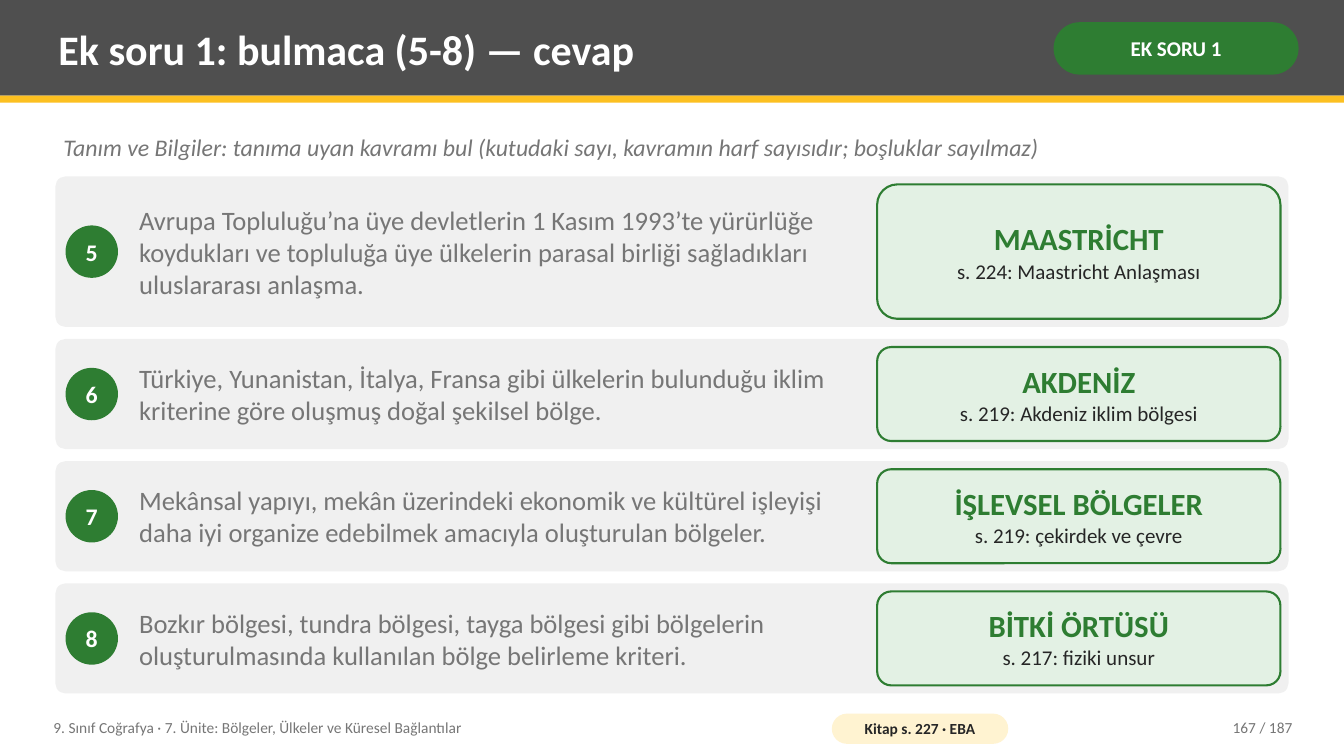
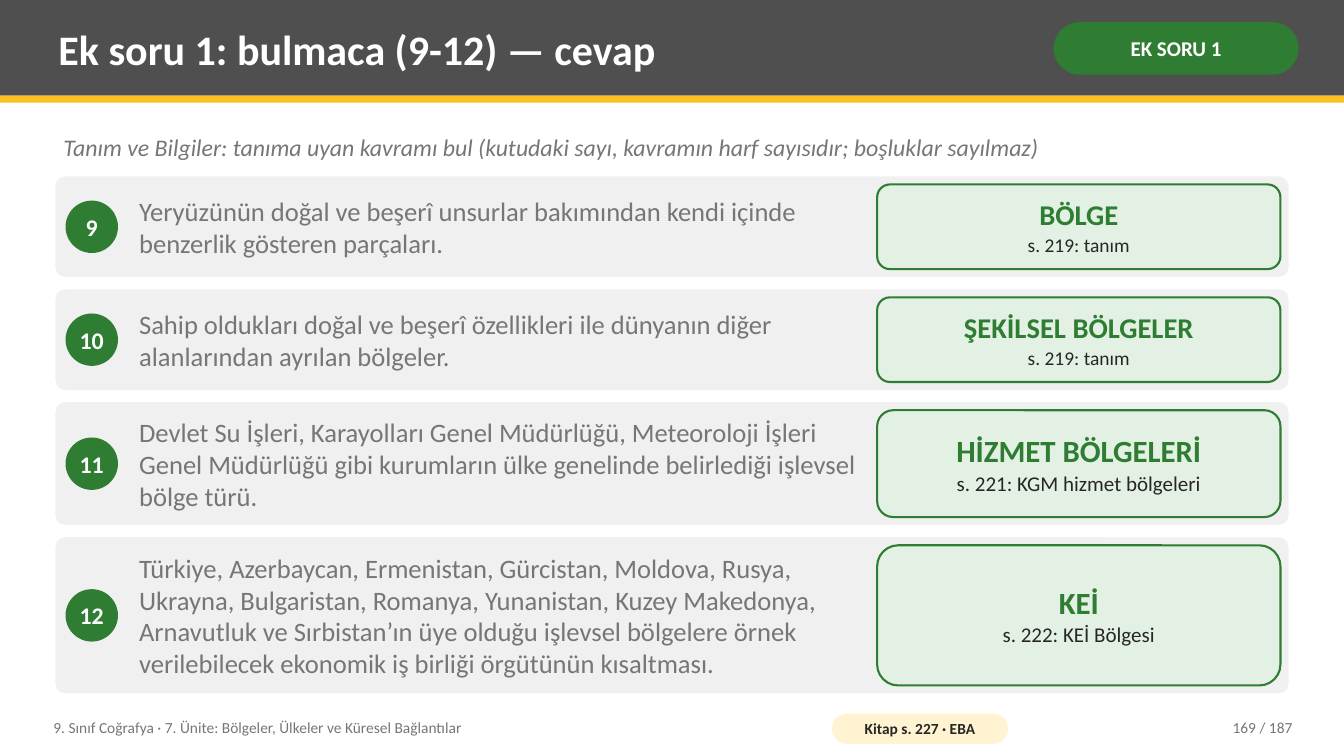
import pptx
import pptx.dml.color
import pptx.enum.shapes
import pptx.enum.text
import pptx.util

Inches = pptx.util.Inches
Shapes = pptx.enum.shapes.MSO_SHAPE
Align = pptx.enum.text.PP_ALIGN
Anchor = pptx.enum.text.MSO_ANCHOR

COLORS = {
    "band": "4F4F4F",
    "accent": "FCC021",
    "green": "2E7D32",
    "answer": "E3F1E4",
    "row": "F0F0F0",
    "source": "FFF3D1",
    "muted": "767676",
    "dark": "262626",
    "white": "FFFFFF",
}
FONT = "Calibri"
SLIDE_WIDTH, SLIDE_HEIGHT = 13.33, 7.5
TEXT_MARGINS = (0.08, 0.04)

TAG = "EK SORU 1"
INTRO = ("Tanım ve Bilgiler: tanıma uyan kavramı bul "
         "(kutudaki sayı, kavramın harf sayısıdır; boşluklar sayılmaz)")
UNIT = "9. Sınıf Coğrafya · 7. Ünite: Bölgeler, Ülkeler ve Küresel Bağlantılar"
SOURCE = "Kitap s. 227 · EBA"
PAGE_COUNT = 187

LIST_BOX = (0.55, 1.75, 12.23, 5.13)
ROW_GAP = 0.12

# Each row: number, relative height, definition, answer, reference
SLIDES = [
    {
        "title": "Ek soru 1: bulmaca (5-8) — cevap",
        "number": 167,
        "rows": [
            (5, 1.49, "Avrupa Topluluğu’na üye devletlerin 1 Kasım 1993’te yürürlüğe "
             "koydukları ve topluluğa üye ülkelerin parasal birliği sağladıkları "
             "uluslararası anlaşma.",
             "MAASTRİCHT", "s. 224: Maastricht Anlaşması"),
            (6, 1.09, "Türkiye, Yunanistan, İtalya, Fransa gibi ülkelerin bulunduğu "
             "iklim kriterine göre oluşmuş doğal şekilsel bölge.",
             "AKDENİZ", "s. 219: Akdeniz iklim bölgesi"),
            (7, 1.09, "Mekânsal yapıyı, mekân üzerindeki ekonomik ve kültürel işleyişi "
             "daha iyi organize edebilmek amacıyla oluşturulan bölgeler.",
             "İŞLEVSEL BÖLGELER", "s. 219: çekirdek ve çevre"),
            (8, 1.09, "Bozkır bölgesi, tundra bölgesi, tayga bölgesi gibi bölgelerin "
             "oluşturulmasında kullanılan bölge belirleme kriteri.",
             "BİTKİ ÖRTÜSÜ", "s. 217: fiziki unsur"),
        ],
    },
    {
        "title": "Ek soru 1: bulmaca (9-12) — cevap",
        "number": 169,
        "rows": [
            (9, 1, "Yeryüzünün doğal ve beşerî unsurlar bakımından kendi içinde "
             "benzerlik gösteren parçaları.",
             "BÖLGE", "s. 219: tanım"),
            (10, 1, "Sahip oldukları doğal ve beşerî özellikleri ile dünyanın diğer "
             "alanlarından ayrılan bölgeler.",
             "ŞEKİLSEL BÖLGELER", "s. 219: tanım"),
            (11, 1.22, "Devlet Su İşleri, Karayolları Genel Müdürlüğü, Meteoroloji "
             "İşleri Genel Müdürlüğü gibi kurumların ülke genelinde belirlediği "
             "işlevsel bölge türü.",
             "HİZMET BÖLGELERİ", "s. 221: KGM hizmet bölgeleri"),
            (12, 1.55, "Türkiye, Azerbaycan, Ermenistan, Gürcistan, Moldova, Rusya, "
             "Ukrayna, Bulgaristan, Romanya, Yunanistan, Kuzey Makedonya, Arnavutluk "
             "ve Sırbistan’ın üye olduğu işlevsel bölgelere örnek verilebilecek "
             "ekonomik iş birliği örgütünün kısaltması.",
             "KEİ", "s. 222: KEİ Bölgesi"),
        ],
    },
]


def rgb(name):
    return pptx.dml.color.RGBColor.from_string(COLORS[name])


def lengths(box):
    return [Inches(value) for value in box]


def set_frame(shape, margins=TEXT_MARGINS, anchor=Anchor.MIDDLE, wrap=True):
    """Set margins (horizontal, vertical), anchor and wrapping; return the frame."""
    frame = shape.text_frame
    frame.margin_left = frame.margin_right = Inches(margins[0])
    frame.margin_top = frame.margin_bottom = Inches(margins[1])
    frame.vertical_anchor = anchor
    frame.word_wrap = wrap
    frame.auto_size = pptx.enum.text.MSO_AUTO_SIZE.NONE
    return frame


def write(frame, text, size, color, bold=False, italic=False, align=Align.LEFT, after=0):
    """Put text in the first paragraph if it is free, otherwise in a new one."""
    para = frame.add_paragraph() if frame.text else frame.paragraphs[0]
    para.alignment = align
    para.space_after = pptx.util.Pt(after)
    span = para.add_run()
    span.text = text
    span.font.name = FONT
    span.font.size = pptx.util.Pt(size)
    span.font.bold = bold
    span.font.italic = italic
    span.font.color.rgb = rgb(color)


def add_box(page, kind, box, fill, line=None, corner=None):
    shape = page.shapes.add_shape(kind, *lengths(box))
    shape.shadow.inherit = False
    shape.fill.solid()
    shape.fill.fore_color.rgb = rgb(fill)
    if line:
        shape.line.color.rgb = rgb(line)
        shape.line.width = pptx.util.Pt(1.5)
    else:
        shape.line.fill.background()
    if corner is not None:
        shape.adjustments[0] = corner
    return shape


def add_label(page, box, text, anchor=Anchor.MIDDLE, **style):
    label = page.shapes.add_textbox(*lengths(box))
    write(set_frame(label, anchor=anchor), text, **style)


def add_pill(page, box, text, fill, margins, **style):
    pill = add_box(page, Shapes.ROUNDED_RECTANGLE, box, fill, corner=0.5)
    write(set_frame(pill, margins), text, bold=True, align=Align.CENTER, **style)


def add_header(page, title_text):
    band_height = 0.95
    add_box(page, Shapes.RECTANGLE, (0, 0, SLIDE_WIDTH, band_height), "band")
    add_box(page, Shapes.RECTANGLE, (0, band_height, SLIDE_WIDTH, 0.07), "accent")
    title = page.shapes.title
    page.shapes.element.append(title.element)  # bring the title in front of the band
    title.left, title.top, title.width, title.height = lengths((0.5, 0.07, 9.75, 0.82))
    write(set_frame(title), title_text, size=30, color="white", bold=True)
    add_pill(page, (10.45, 0.22, 2.43, 0.52), TAG, "green", (0.05, 0.02),
             size=15, color="white")


def add_answer(page, box, answer, reference):
    shape = add_box(page, Shapes.ROUNDED_RECTANGLE, box, "answer", line="green", corner=0.15)
    frame = set_frame(shape, (0.14, 0.08))
    low = box[3] < 0.9
    write(frame, answer, size=20.4 if low else 22, color="green", bold=True,
          align=Align.CENTER, after=0.9 if low else 1)
    write(frame, reference, size=13.9 if low else 15, color="dark", align=Align.CENTER)


def add_row(page, box, number, definition, answer, reference):
    left, top, width, height = box
    add_box(page, Shapes.ROUNDED_RECTANGLE, box, "row", corner=0.1 / height)

    disc = 0.52
    badge = add_box(page, Shapes.OVAL,
                    (left + 0.1, top + (height - disc) / 2, disc, disc), "green")
    write(set_frame(badge, (0, 0), wrap=False), str(number), size=17, color="white",
          bold=True, align=Align.CENTER)

    add_label(page, (left + 0.75, top, 7.38, height), definition, size=19, color="muted")

    inset, answer_width = 0.08, 4
    answer_left = left + width - inset - answer_width
    add_answer(page, (answer_left, top + inset, answer_width, height - 2 * inset),
               answer, reference)


def add_rows(page, box, rows):
    """Share the height of the box among the rows by their relative heights."""
    left, top, width, height = box
    free_height = height - ROW_GAP * (len(rows) - 1)
    total = sum(row[1] for row in rows)
    for number, share, *texts in rows:
        row_height = free_height * share / total
        add_row(page, (left, top, width, row_height), number, *texts)
        top += row_height + ROW_GAP


def add_footer(page, number):
    top, height = 7.04, 0.36
    style = {"size": 11, "color": "muted"}
    add_label(page, (0.45, top, 7.6, height), UNIT, **style)
    add_pill(page, (8.25, top + 0.04, 1.75, 0.3), SOURCE, "source", (0.04, 0),
             size=11, color="dark")
    add_label(page, (11.3, top, 1.6, height), f"{number} / {PAGE_COUNT}",
              align=Align.RIGHT, **style)


def add_answer_slide(deck, title, number, rows):
    page = deck.slides.add_slide(deck.slide_layouts.get_by_name("Title Only"))
    add_header(page, title)
    add_label(page, (0.55, 1.28, 12.23, 0.42), INTRO, anchor=Anchor.TOP,
              size=17, color="muted", italic=True)
    add_rows(page, LIST_BOX, rows)
    add_footer(page, number)


def main():
    deck = pptx.Presentation()
    deck.slide_width, deck.slide_height = lengths((SLIDE_WIDTH, SLIDE_HEIGHT))
    for content in SLIDES:
        add_answer_slide(deck, **content)
    deck.save("out.pptx")


if __name__ == "__main__":
    main()
